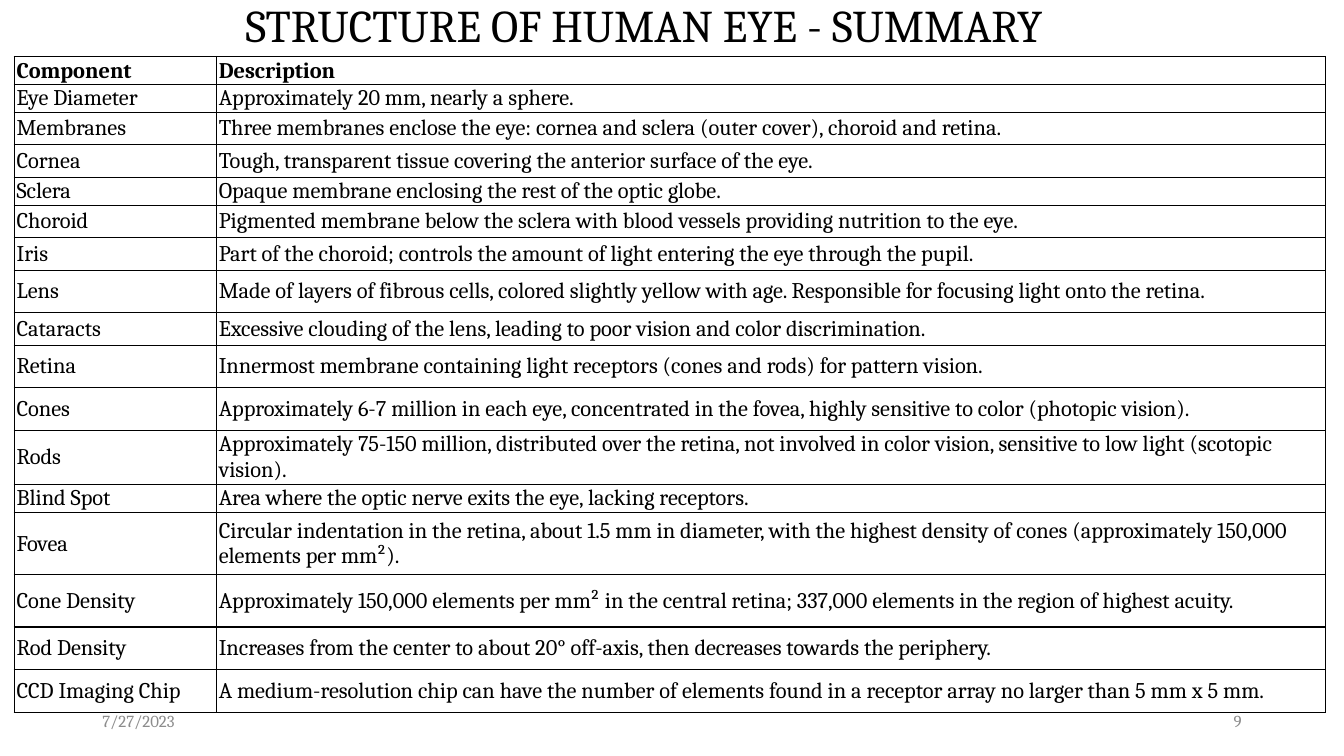
from lxml import etree
from pptx import Presentation
from pptx.dml.color import RGBColor
from pptx.enum.text import MSO_ANCHOR, MSO_AUTO_SIZE, PP_ALIGN
from pptx.oxml.ns import qn
from pptx.util import Pt

MIDDLE, BOTTOM = MSO_ANCHOR.MIDDLE, MSO_ANCHOR.BOTTOM
LEFT, CENTER, RIGHT = PP_ALIGN.LEFT, PP_ALIGN.CENTER, PP_ALIGN.RIGHT
NO_AUTOFIT = MSO_AUTO_SIZE.NONE

BLACK = RGBColor(0x00, 0x00, 0x00)
GRAY = RGBColor(0x8C, 0x8C, 0x8C)
FONT = "Cambria"

HEADING = "STRUCTURE OF HUMAN EYE - SUMMARY"
FOOTERS = [("7/27/2023", 66, LEFT), ("9", 678, RIGHT)]
SINGLE, ROOMY, TALL = 20, 23.2, 30.4
EYE_PARTS = [
    ("Component", "Description", SINGLE),
    ("Eye Diameter", "Approximately 20 mm, nearly a sphere.", SINGLE),
    ("Membranes", "Three membranes enclose the eye: cornea and sclera (outer cover), "
     "choroid and retina.", ROOMY),
    ("Cornea", "Tough, transparent tissue covering the anterior surface of the eye.", ROOMY),
    ("Sclera", "Opaque membrane enclosing the rest of the optic globe.", SINGLE),
    ("Choroid", "Pigmented membrane below the sclera with blood vessels providing "
     "nutrition to the eye.", ROOMY),
    ("Iris", "Part of the choroid; controls the amount of light entering the eye "
     "through the pupil.", ROOMY),
    ("Lens", "Made of layers of fibrous cells, colored slightly yellow with age. "
     "Responsible for focusing light onto the retina.", TALL),
    ("Cataracts", "Excessive clouding of the lens, leading to poor vision and color "
     "discrimination.", ROOMY),
    ("Retina", "Innermost membrane containing light receptors (cones and rods) for "
     "pattern vision.", TALL),
    ("Cones", "Approximately 6-7 million in each eye, concentrated in the fovea, highly "
     "sensitive to color (photopic vision).", TALL),
    ("Rods", "Approximately 75-150 million, distributed over the retina, not involved in "
     "color vision, sensitive to low light (scotopic vision).", 38.5),
    ("Blind Spot", "Area where the optic nerve exits the eye, lacking receptors.", SINGLE),
    ("Fovea", "Circular indentation in the retina, about 1.5 mm in diameter, with the "
     "highest density of cones (approximately 150,000 elements per mm²).", 44.5),
    ("Cone Density", "Approximately 150,000 elements per mm² in the central retina; "
     "337,000 elements in the region of highest acuity.", 37.3),
    ("Rod Density", "Increases from the center to about 20° off-axis, then decreases "
     "towards the periphery.", TALL),
    ("CCD Imaging Chip", "A medium-resolution chip can have the number of elements found "
     "in a receptor array no larger than 5 mm x 5 mm.", TALL),
]
COLUMN_WIDTHS = [144.4, 792.6]


def style(paragraph, size, color, align=LEFT, bold=False):
    paragraph.alignment = align
    font = paragraph.font
    font.name, font.size, font.bold = FONT, Pt(size), bold
    font.color.rgb = color


def place(shape, left, top, width, height):
    shape.left, shape.top = Pt(left), Pt(top)
    shape.width, shape.height = Pt(width), Pt(height)


def add_borders(cell):
    properties = cell._tc.get_or_add_tcPr()
    for side in ("a:lnL", "a:lnR", "a:lnT", "a:lnB"):
        line = etree.SubElement(properties, qn(side), w=str(Pt(1)))
        fill = etree.SubElement(line, qn("a:solidFill"))
        etree.SubElement(fill, qn("a:srgbClr"), val=str(BLACK))


presentation = Presentation()
presentation.slide_width, presentation.slide_height = Pt(960), Pt(540)
slide = presentation.slides.add_slide(presentation.slide_layouts[5])

title = slide.shapes.title
place(title, 125.3, 0, 669.6, 40.3)
title.text_frame.text = HEADING
title.text_frame.auto_size = NO_AUTOFIT
title.text_frame.vertical_anchor = MIDDLE
title.text_frame.paragraphs[0].line_spacing = 0.9
style(title.text_frame.paragraphs[0], 32.4, BLACK, CENTER)

for label, left, align in FOOTERS:
    footer = slide.shapes.add_textbox(Pt(left), Pt(500.5), Pt(216), Pt(28.75)).text_frame
    footer.word_wrap = True
    footer.vertical_anchor = MIDDLE
    footer.text = label
    style(footer.paragraphs[0], 12, GRAY, align)

summary = slide.shapes.add_table(
    len(EYE_PARTS), len(COLUMN_WIDTHS), Pt(10.1), Pt(40.3),
    Pt(sum(COLUMN_WIDTHS)), Pt(sum(part[-1] for part in EYE_PARTS))).table
summary.first_row = summary.horz_banding = False
for column, width in zip(summary.columns, COLUMN_WIDTHS):
    column.width = Pt(width)

for index, (component, description, height) in enumerate(EYE_PARTS):
    is_header = index == 0
    summary.rows[index].height = Pt(height)
    for cell, wording in zip(summary.rows[index].cells, (component, description)):
        cell.text = wording
        cell.margin_left = cell.margin_right = Pt(1.8)
        cell.margin_top = cell.margin_bottom = Pt(0.2)
        cell.vertical_anchor = BOTTOM if is_header else MIDDLE
        add_borders(cell)
        cell.fill.background()
        style(cell.text_frame.paragraphs[0], 16, BLACK, bold=is_header)

presentation.save("out.pptx")
